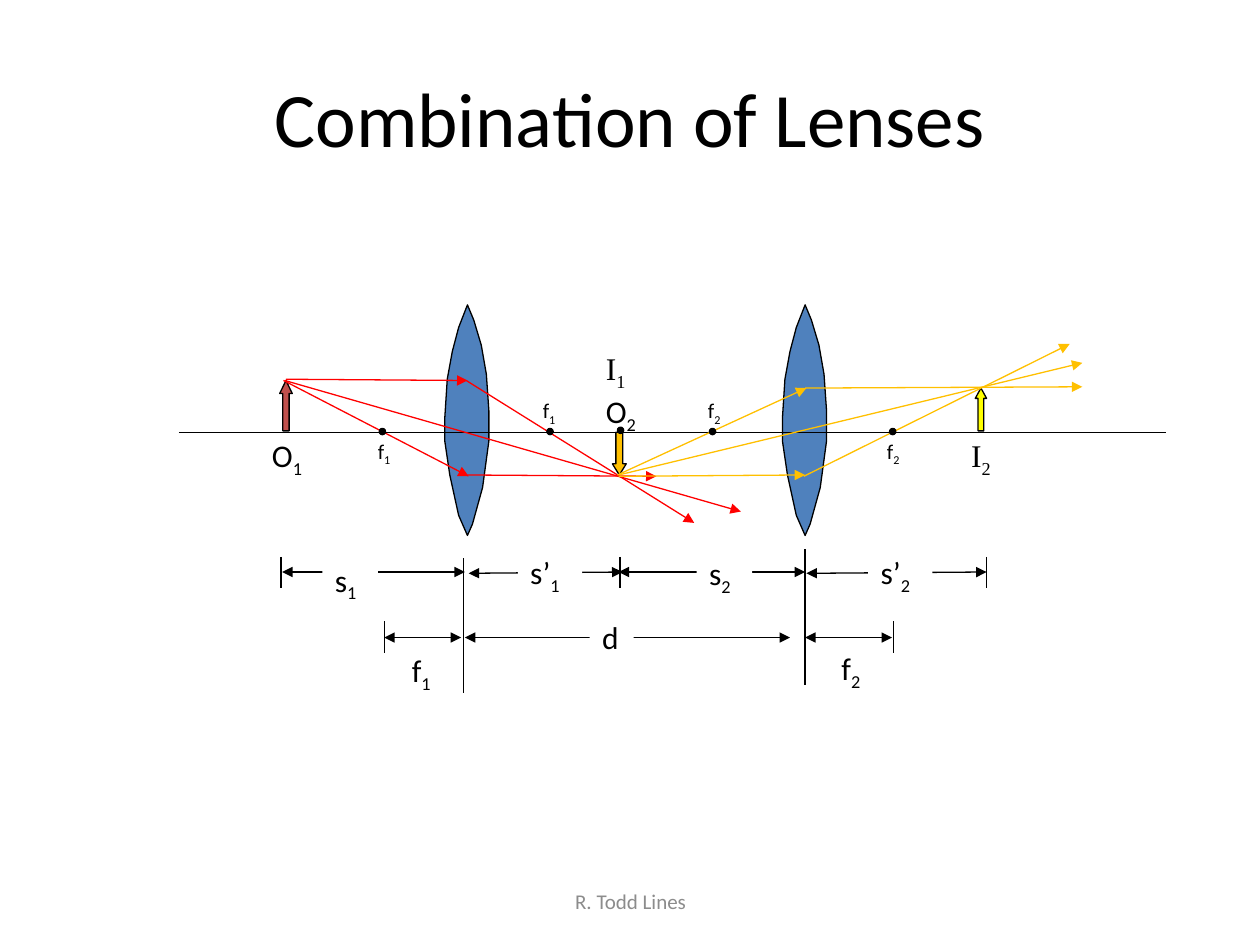
"""Build a slide showing the ray diagram of a two-lens combination."""
import pptx
import pptx.dml.color
import pptx.enum.shapes
import pptx.enum.text
import pptx.oxml.ns
import pptx.util
from lxml import etree

Inches = pptx.util.Inches
Pt = pptx.util.Pt
RGBColor = pptx.dml.color.RGBColor
SHAPES = pptx.enum.shapes.MSO_SHAPE
CENTER = pptx.enum.text.PP_ALIGN.CENTER
MIDDLE = pptx.enum.text.MSO_ANCHOR.MIDDLE

BLACK = RGBColor(0x00, 0x00, 0x00)
WHITE = RGBColor(0xFF, 0xFF, 0xFF)
GRAY = RGBColor(0x8C, 0x8C, 0x8C)
LENS_BLUE = RGBColor(0x4F, 0x81, 0xBD)
BRICK = RGBColor(0xC0, 0x50, 0x4D)
RED = RGBColor(0xFF, 0x00, 0x00)
AMBER = RGBColor(0xFF, 0xC0, 0x00)
YELLOW = RGBColor(0xFF, 0xFF, 0x00)
SANS, SERIF = "Calibri", "Times New Roman"

LENS_TOP = 2.42
LENS_CENTERS = [6.39, 3.71]
LENS_OUTLINE = [
    (0, 0), (-0.07, 0.18), (-0.12, 0.37), (-0.16, 0.59), (-0.18, 0.9), (-0.18, 1.08),
    (-0.14, 1.35), (-0.07, 1.67), (0, 1.83), (0.04, 1.74), (0.12, 1.45), (0.17, 1.08),
    (0.17, 0.84), (0.15, 0.55), (0.11, 0.32), (0.05, 0.12),
]
AXIS = (1.42, 3.43, 9.25, 3.43)
RED_RAYS = [
    (2.27, 3.01, 3.71, 3.02), (2.25, 3.02, 3.72, 3.78), (3.7, 3.02, 5.51, 4.15),
    (2.26, 3.02, 5.88, 4.06), (3.71, 3.77, 5.21, 3.78),
]
AMBER_RAYS = [
    (4.91, 3.77, 8.59, 2.88), (6.38, 3.78, 8.49, 2.73), (4.9, 3.77, 6.4, 3.08),
    (6.39, 3.08, 8.59, 3.07), (4.91, 3.78, 6.39, 3.77),
]
OBJECT_ARROWS = [
    (2.22, 3.02, 0.1, 0.4, 1.036, 0, BRICK),
    (4.86, 3.43, 0.11, 0.34, 0.812, 180, AMBER),
    (7.74, 3.08, 0.09, 0.34, 0.915, 0, YELLOW),
]
DOTS = [(3.01, 3.4), (4.34, 3.4), (5.63, 3.4), (7.06, 3.4), (4.9, 3.39)]
DISTANCES = [
    (2.24, 4.54, 3.69, 4.54), (3.72, 4.55, 4.94, 4.54), (4.91, 4.54, 6.39, 4.54),
    (6.4, 4.55, 7.83, 4.54), (3.05, 5.06, 3.66, 5.06), (3.69, 5.06, 6.27, 5.06),
    (6.39, 5.06, 7.08, 5.06),
]
TICKS = [
    (2.23, 4.42, 4.67), (4.92, 4.42, 4.67), (7.83, 4.42, 4.67), (3.05, 4.93, 5.18),
    (7.09, 4.93, 5.18), (3.68, 4.43, 5.5), (6.39, 4.36, 5.44),
]
FOCUS_LABELS = [
    (6.94, 3.43, "f", "2"), (5.52, 3.11, "f", "2"),
    (2.9, 3.43, "f", "1"), (4.21, 3.11, "f", "1"),
]
DISTANCE_LABELS = [
    (2.56, 4.4, 0.44, "s", "1"), (4.11, 4.34, 0.51, "s’", "1"), (5.53, 4.35, 0.44, "s", "2"),
    (6.89, 4.34, 0.51, "s’", "2"), (3.17, 5.12, 0.38, "f", "1"), (6.58, 5.1, 0.38, "f", "2"),
    (4.68, 4.86, 0.35, "d", ""),
]
POINT_LABELS = [
    (2.06, 3.41, 0.49, 0.4, [("O", "1", SANS)]),
    (7.61, 3.41, 0.38, 0.4, [("I", "2", SERIF)]),
    (4.71, 2.72, 0.49, 0.91, [("I", "1", SERIF), ("O", "2", SANS)]),
]


def set_font(font, size, name=SANS, color=BLACK):
    for attribute, value in {"size": Pt(size), "name": name}.items():
        setattr(font, attribute, value)
    font.color.rgb = color


def paint(shape, fill):
    shape.shadow.inherit = False
    shape.fill.solid()
    shape.fill.fore_color.rgb = fill
    shape.line.color.rgb = BLACK
    shape.line.width = Pt(0.75)


def add_line(slide, ends, color=BLACK, heads=()):
    connector = slide.shapes.add_connector(
        pptx.enum.shapes.MSO_CONNECTOR.STRAIGHT, *map(Inches, ends))
    connector.line.color.rgb = color
    connector.line.width = Pt(0.75)
    properties = connector._element.spPr
    outline = properties.find(pptx.oxml.ns.qn("a:ln"))
    for head in heads:
        etree.SubElement(outline, pptx.oxml.ns.qn("a:" + head), type="triangle")
    etree.SubElement(properties, pptx.oxml.ns.qn("a:effectLst"))


def add_shape(slide, kind, box, fill):
    shape = slide.shapes.add_shape(kind, *map(Inches, box))
    paint(shape, fill)
    return shape


def write_symbols(shape, symbols, size):
    frame = shape.text_frame
    frame.word_wrap = False
    frame.auto_size = pptx.enum.text.MSO_AUTO_SIZE.SHAPE_TO_FIT_TEXT
    frame.vertical_anchor = pptx.enum.text.MSO_ANCHOR.TOP
    for index, (letter, subscript, name) in enumerate(symbols):
        paragraph = frame.add_paragraph() if index else frame.paragraphs[0]
        paragraph.alignment = pptx.enum.text.PP_ALIGN.LEFT
        for text, baseline in ((letter, "0"), (subscript, "-25000")):
            if text:
                run = paragraph.add_run()
                run.text = text
                set_font(run.font, size, name)
                run._r.get_or_add_rPr().set("baseline", baseline)


def add_label(slide, box, symbols, size):
    write_symbols(slide.shapes.add_textbox(*map(Inches, box)), symbols, size)


def add_heading_and_footer(slide):
    title = slide.shapes.title
    footer = slide.shapes.add_textbox(*map(Inches, (3.42, 6.95, 3.17, 0.4)))
    title_box = {"left": 0.5, "top": 0.3, "width": 9, "height": 1.25}
    for attribute, value in title_box.items():
        setattr(title, attribute, Inches(value))
    for shape, text, size, color in (
            (title, "Combination of Lenses", 44, BLACK), (footer, "R. Todd Lines", 12, GRAY)):
        shape.text_frame.text = text
        shape.text_frame.word_wrap = True
        shape.text_frame.vertical_anchor = MIDDLE
        paragraph = shape.text_frame.paragraphs[0]
        paragraph.alignment = CENTER
        set_font(paragraph.runs[0].font, size, color=color)


def add_optics(slide):
    for center in LENS_CENTERS:
        points = [(Inches(center + x), Inches(LENS_TOP + y)) for x, y in LENS_OUTLINE]
        builder = slide.shapes.build_freeform(*points[0], scale=1.0)
        builder.add_line_segments(points[1:], close=True)
        paint(builder.convert_to_shape(), LENS_BLUE)
    add_line(slide, AXIS)
    for *box, head_ratio, rotation, fill in OBJECT_ARROWS:
        arrow = add_shape(slide, SHAPES.UP_ARROW, box, fill)
        arrow.adjustments[0] = 0.5
        arrow.adjustments[1] = head_ratio
        arrow.rotation = rotation
    for color, rays in ((RED, RED_RAYS), (AMBER, AMBER_RAYS)):
        for ray in rays:
            add_line(slide, ray, color, ["tailEnd"])


def add_dimensions(slide):
    for distance in DISTANCES:
        add_line(slide, distance, heads=["headEnd", "tailEnd"])
    for x, top, bottom in TICKS:
        add_line(slide, (x, top, x, bottom))
    for left, top, width, letter, subscript in DISTANCE_LABELS:
        label = add_shape(slide, SHAPES.RECTANGLE, (left, top, width, 0.4), WHITE)
        label.line.fill.background()
        write_symbols(label, [(letter, subscript, SANS)], 18)


def main():
    presentation = pptx.Presentation()
    presentation.slide_width, presentation.slide_height = Inches(10), Inches(7.5)
    slide = presentation.slides.add_slide(presentation.slide_layouts[5])
    for left, top, letter, subscript in FOCUS_LABELS:
        add_label(slide, (left, top, 0.32, 0.3), [(letter, subscript, SANS)], 12)
    add_heading_and_footer(slide)
    add_optics(slide)
    add_dimensions(slide)
    for *box, symbols in POINT_LABELS:
        add_label(slide, box, symbols, 18)
    for left, top in DOTS:
        add_shape(slide, SHAPES.OVAL, (left, top, 0.05, 0.05), BLACK)
    presentation.save("out.pptx")


if __name__ == "__main__":
    main()
